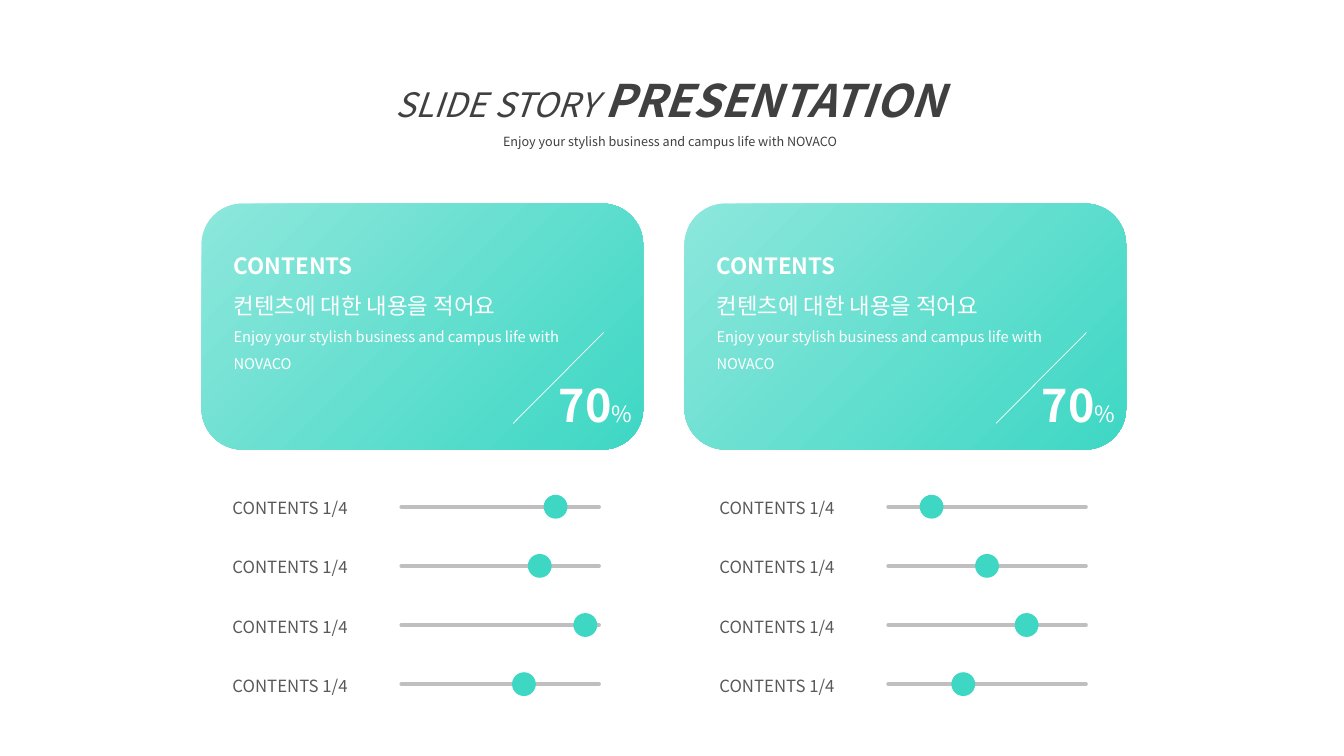
"""Build a slide with two gradient cards, each above a column of sliders."""
from dataclasses import dataclass

from lxml import etree
from pptx import Presentation
from pptx import util as u
from pptx.dml.color import RGBColor
from pptx.enum import shapes, text
from pptx.oxml.ns import qn


@dataclass(frozen=True)
class Theme:
    """Colours, type sizes and font of the slide."""
    font: str = "Noto Sans CJK KR"
    ink: str = "404040"
    label: str = "595959"
    track: str = "BFBFBF"
    light: str = "8DE7DC"
    accent: str = "3ED7C4"
    white: str = "FFFFFF"
    display: float = 32
    title: float = 24
    heading: float = 16
    row: float = 12
    body: float = 10.5
    tagline: float = 9


@dataclass(frozen=True)
class Box:
    """A rectangle in centimetres."""
    left: float
    top: float
    width: float
    height: float

    def inner(self, left, top, width, height):
        """Return a box placed relative to this one."""
        return Box(self.left + left, self.top + top, width, height)

    def lengths(self):
        """Return the four lengths for python-pptx."""
        return [u.Cm(n) for n in (self.left, self.top, self.width, self.height)]


THEME = Theme()
TAGLINE = "Enjoy your stylish business and campus life with NOVACO"
SLIDERS = [(0.78, 0.70, 0.93, 0.62), (0.22, 0.50, 0.70, 0.38)]


def rgb(value):
    """Return a colour from its hex value."""
    return RGBColor.from_string(value)


def write(frame, paragraphs, color, align=text.PP_ALIGN.LEFT, spacing=None, italic=False):
    """Fill a text frame with paragraphs, each a list of (words, size, bold)."""
    frame.auto_size = text.MSO_AUTO_SIZE.SHAPE_TO_FIT_TEXT
    frame.vertical_anchor = text.MSO_ANCHOR.TOP
    for index, spans in enumerate(paragraphs):
        para = frame.add_paragraph() if index else frame.paragraphs[0]
        para.alignment = align
        if spacing:
            para.line_spacing = spacing
        para.font.name = THEME.font
        para.font.color.rgb = rgb(color)
        para.font.italic = italic and index == 0
        defaults = para._p.pPr.find(qn("a:defRPr"))
        etree.SubElement(defaults, qn("a:ea"), typeface=THEME.font)
        if len(spans) == 1:
            para.font.size, para.font.bold = u.Pt(spans[0][1]), spans[0][2]
        for words, size, bold in spans:
            span = para.add_run()
            span.text = words
            if len(spans) > 1:
                span.font.size, span.font.bold = u.Pt(size), bold


def add_text(page, box, paragraphs, color, wrap=True, **options):
    """Add a text box."""
    frame = page.shapes.add_textbox(*box.lengths()).text_frame
    frame.word_wrap = wrap
    write(frame, paragraphs, color, **options)


def add_line(page, start, end, color, width, cap="flat"):
    """Add a plain straight line between two points."""
    points = [u.Cm(n) for n in (*start, *end)]
    line = page.shapes.add_connector(shapes.MSO_CONNECTOR.STRAIGHT, *points)
    line.line.color.rgb = rgb(color)
    line.line.width = u.Pt(width)
    properties = line._element.spPr
    properties.find(qn("a:ln")).set("cap", cap)
    etree.SubElement(properties, qn("a:effectLst"))


def add_shape(page, kind, box):
    """Add a preset shape without outline or shadow."""
    shape = page.shapes.add_shape(kind, *box.lengths())
    shape.shadow.inherit = False
    shape.line.fill.background()
    return shape


def add_header(page, box):
    """Place the title and its tagline."""
    title = page.shapes.title
    title.left, title.top, title.width, title.height = box.lengths()
    title.text_frame.word_wrap = True
    write(title.text_frame, [
        [("SLIDE STORY ", THEME.title, False), ("PRESENTATION", THEME.display, True)],
        [(TAGLINE, THEME.tagline, False)],
    ], THEME.ink, align=text.PP_ALIGN.CENTER, spacing=1.5, italic=True)


def add_card(page, box):
    """Place a gradient card with its text, slash and percentage."""
    card = add_shape(page, shapes.MSO_SHAPE.ROUNDED_RECTANGLE, box)
    card.fill.gradient()
    card.fill.gradient_angle = 315
    for stop, color in zip(card.fill.gradient_stops, (THEME.light, THEME.accent)):
        stop.color.rgb = rgb(color)
    add_line(page, (box.left + 10.13, box.top + 3.25),
             (box.left + 7.85, box.top + 5.54), THEME.white, 0.5)
    add_text(page, box.inner(0.56, 0.76, 9.12, 3.66), [
        [("CONTENTS", THEME.heading, True)],
        [("컨텐츠에 대한 내용을 적어요", THEME.heading, False)],
        [(TAGLINE, THEME.body, False)],
    ], THEME.white, spacing=1.5)
    add_text(page, box.inner(8.56, 4.27, 2.74, 1.63),
             [[("70", THEME.display, True), ("%", THEME.heading, False)]],
             THEME.white, align=text.PP_ALIGN.CENTER)


def add_sliders(page, box, values):
    """Place one labelled slider per value, evenly spaced down the box."""
    pitch = box.height / len(values)
    knob = 0.6
    track_left, track_width, track_drop = 4.5, 4.99, 0.6
    for index, value in enumerate(values):
        row = box.inner(0, index * pitch, box.width, pitch)
        start, middle = row.left + track_left, row.top + track_drop
        add_line(page, (start, middle), (start + track_width, middle),
                 THEME.track, 2.5, "rnd")
        handle = add_shape(page, shapes.MSO_SHAPE.OVAL, row.inner(
            track_left + value * track_width - knob / 2, track_drop - knob / 2, knob, knob))
        handle.fill.solid()
        handle.fill.fore_color.rgb = rgb(THEME.accent)
        add_text(page, row.inner(0, 0, 3.45, 1.02),
                 [[("CONTENTS 1/4", THEME.row, False)]],
                 THEME.label, wrap=False, spacing=1.5)


def main():
    """Build and save the deck."""
    deck = Presentation()
    deck.slide_width, deck.slide_height = u.Cm(33.87), u.Cm(19.05)
    page = deck.slides.add_slide(deck.slide_layouts[5])
    add_header(page, Box(9.22, 1.02, 15.32, 2.9))
    for column, values in enumerate(SLIDERS):
        add_card(page, Box(5.08 + column * 12.17, 5.13, 11.13, 6.2))
        add_sliders(page, Box(5.61 + column * 12.27, 12.17, 9.49, 5.96), values)
    deck.save("out.pptx")


if __name__ == "__main__":
    main()
